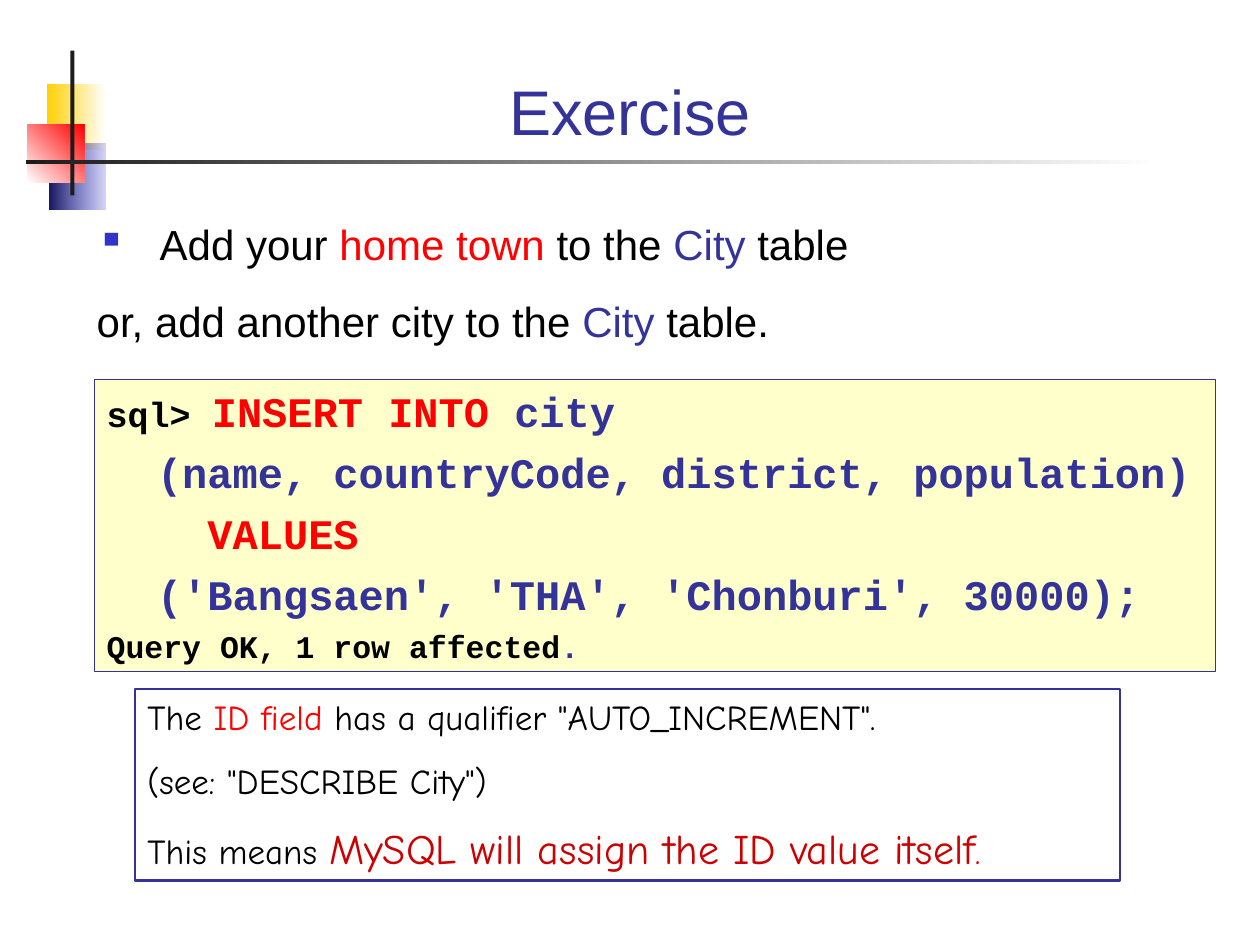
from dataclasses import dataclass
from typing import Optional

from lxml.etree import SubElement as Sub
from pptx import Presentation
from pptx.dml.color import RGBColor as Rgb
from pptx.enum.shapes import MSO_SHAPE as Kind
from pptx.enum.text import MSO_ANCHOR as Anchor, PP_ALIGN as Align
from pptx.oxml.ns import qn
from pptx.util import Cm, Pt


@dataclass(frozen=True)
class Theme:
    ink: str = "000000"
    navy: str = "333399"
    blue: str = "3333CC"
    night: str = "18185E"
    red: str = "FF0000"
    brick: str = "CC0000"
    gold: str = "FFCF01"
    cream: str = "FFFFCC"
    white: str = "FFFFFF"
    coal: str = "1C1C1C"
    sans: str = "Arial"
    mono: str = "Courier New"
    hand: str = "Comic Neue"
    title: int = 36
    large: int = 24
    mid: int = 20
    small: int = 18


T = Theme()


@dataclass(frozen=True)
class Box:
    left: float
    top: float
    width: float
    height: float

    def place(self) -> tuple:
        return Cm(self.left), Cm(self.top), Cm(self.width), Cm(self.height)


@dataclass(frozen=True)
class Block:
    box: Box
    start: str
    end: Optional[str] = None
    angle: int = 0
    alpha: int = 100


@dataclass(frozen=True)
class Run:
    text: str
    color: str = T.ink
    size: int = T.large


@dataclass(frozen=True)
class Line:
    runs: tuple
    gap: float
    bullet: bool = False


@dataclass(frozen=True)
class Panel:
    box: Box
    fill: Optional[str]
    edge: float
    font: str
    bold: bool
    lines: tuple


BLOCKS = (
    Block(Box(0.94, 1.7, 1.19, 1.32), T.gold, T.white),
    Block(Box(0.99, 2.9, 1.14, 1.32), T.night, T.blue, alpha=20),
    Block(Box(0.56, 2.51, 1.14, 1.17), T.white, T.red, angle=45),
    Block(Box(1.42, 1.02, 0.08, 2.92), T.coal),
    Block(Box(0.53, 3.23, 22.86, 0.08), T.coal, T.white),
)

BODY = (
    Line((Run("Add your "), Run("home town", T.red), Run(" to the "),
          Run("City", T.navy), Run(" table")), 15, bullet=True),
    Line((Run("or, add another city to the "), Run("City", T.navy),
          Run(" table.")), 15),
)

CODE = Panel(Box(1.9, 7.65, 22.6, 5.89), T.cream, 0.75, T.mono, True, (
    Line((Run("sql> ", size=T.mid), Run("INSERT INTO", T.red),
          Run(" city", T.navy)), 6),
    Line((Run("  (name, countryCode, district, population)", T.navy),), 6),
    Line((Run("    VALUES", T.red),), 6),
    Line((Run("  ('Bangsaen', 'THA', 'Chonburi', 30000);", T.navy),), 6),
    Line((Run("Query OK, 1 row affected", size=T.small),
          Run(".", T.navy, T.small)), 4.5),
))

NOTE = Panel(Box(2.72, 13.89, 19.86, 3.86), None, 1.5, T.hand, False, (
    Line((Run("The ", size=T.mid), Run("ID field", T.red, T.mid),
          Run(' has a qualifier "AUTO_INCREMENT".', size=T.mid)), 12.5),
    Line((Run('(see: "DESCRIBE City")', size=T.mid),), 12.5),
    Line((Run("This means ", size=T.mid),
          Run("MySQL will assign the ID value itself", T.brick),
          Run(".", T.brick, T.mid)), 12.5),
))


def draw_block(slide, block: Block) -> None:
    shape = slide.shapes.add_shape(Kind.RECTANGLE, *block.box.place())
    shape.shadow.inherit = False
    shape.line.fill.background()
    fill = shape.fill
    if block.end is None:
        fill.solid()
        fill.fore_color.rgb = Rgb.from_string(block.start)
        return
    fill.gradient()
    fill.gradient_angle = block.angle
    for stop, color in zip(fill.gradient_stops, (block.start, block.end)):
        stop.color.rgb = Rgb.from_string(color)
    if block.alpha < 100:
        last = list(shape.element.spPr.iter(qn("a:srgbClr")))[-1]
        Sub(last, qn("a:alpha"), val=str(block.alpha * 1000))


def add_bullet(para) -> None:
    props = para._p.get_or_add_pPr()
    props.set("marL", str(Cm(1.27)))
    props.set("indent", str(-Cm(1.27)))
    color = Sub(props, qn("a:buClr"))
    Sub(color, qn("a:srgbClr"), val=T.blue)
    Sub(props, qn("a:buSzPct"), val="95000")
    Sub(props, qn("a:buChar"), char="▪")


def write(frame, lines: tuple, font: str, bold: bool = False) -> None:
    frame.word_wrap = True
    frame.vertical_anchor = Anchor.TOP
    for num, line in enumerate(lines):
        para = frame.add_paragraph() if num else frame.paragraphs[0]
        para.alignment = Align.LEFT
        if num:
            para.space_before = Pt(line.gap)
        if line.bullet:
            add_bullet(para)
        para.font.name = font
        para.font.bold = bold
        sizes = {run.size for run in line.runs}
        colors = {run.color for run in line.runs}
        if len(sizes) == 1:
            para.font.size = Pt(line.runs[0].size)
        if len(colors) == 1:
            para.font.color.rgb = Rgb.from_string(line.runs[0].color)
        for part in line.runs:
            run = para.add_run()
            run.text = part.text
            if len(sizes) > 1:
                run.font.size = Pt(part.size)
            if len(colors) > 1:
                run.font.color.rgb = Rgb.from_string(part.color)


def draw_panel(slide, panel: Panel) -> None:
    shape = slide.shapes.add_shape(Kind.RECTANGLE, *panel.box.place())
    shape.shadow.inherit = False
    if panel.fill:
        shape.fill.solid()
        shape.fill.fore_color.rgb = Rgb.from_string(panel.fill)
    else:
        shape.fill.background()
    shape.line.color.rgb = Rgb.from_string(T.navy)
    shape.line.width = Pt(panel.edge)
    write(shape.text_frame, panel.lines, panel.font, panel.bold)


def draw_title(slide, text: str, box: Box) -> None:
    title = slide.shapes.title
    title.left, title.top, title.width, title.height = box.place()
    title.text_frame.text = text
    title.text_frame.vertical_anchor = Anchor.BOTTOM
    para = title.text_frame.paragraphs[0]
    para.alignment = Align.CENTER
    para.font.name = T.sans
    para.font.size = Pt(T.title)
    para.font.color.rgb = Rgb.from_string(T.navy)


def main() -> None:
    deck = Presentation()
    deck.slide_width, deck.slide_height = Cm(25.4), Cm(19.05)
    slide = deck.slides.add_slide(deck.slide_layouts[5])
    for block in BLOCKS:
        draw_block(slide, block)
    draw_title(slide, "Exercise", Box(1.7, 0.71, 22, 2.41))
    body = slide.shapes.add_textbox(*Box(1.7, 4.29, 22, 3.05).place())
    write(body.text_frame, BODY, T.sans)
    for panel in (CODE, NOTE):
        draw_panel(slide, panel)
    deck.save("out.pptx")


if __name__ == "__main__":
    main()
